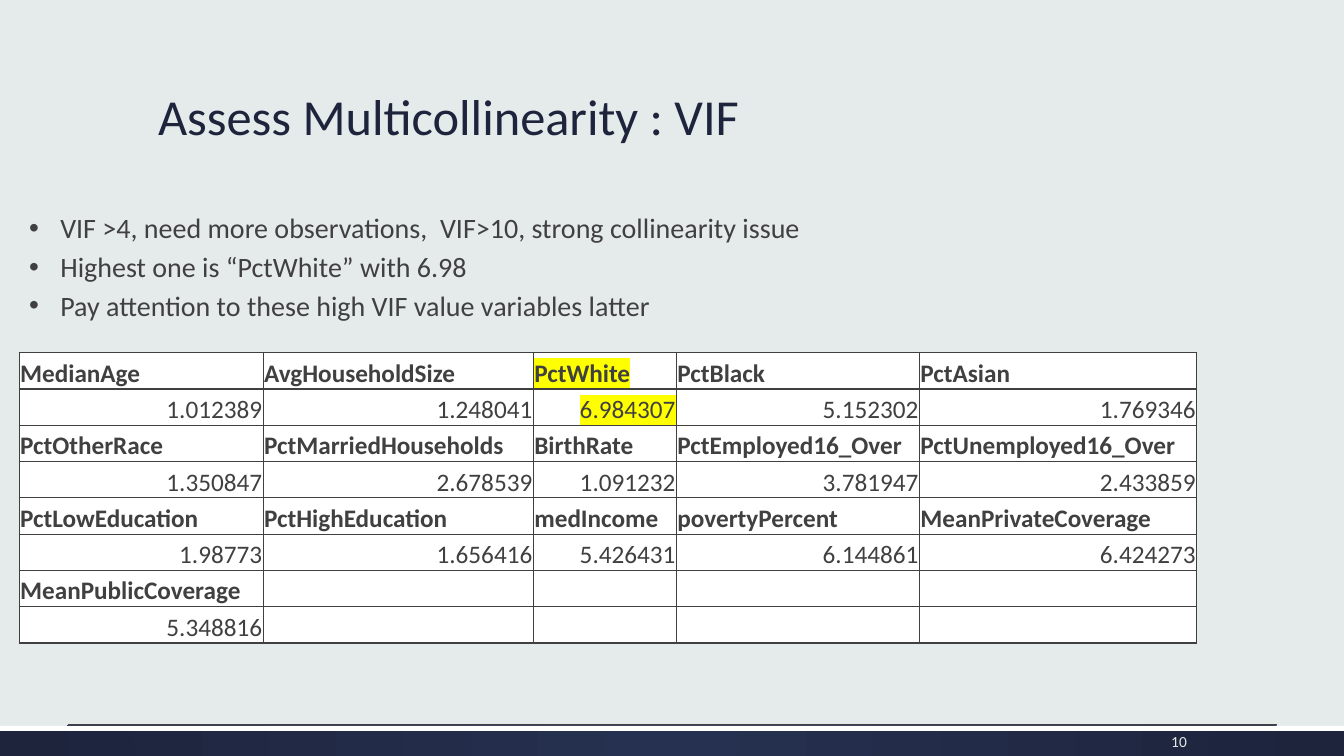
from dataclasses import dataclass

from lxml.etree import SubElement
from pptx import Presentation
from pptx.dml.color import RGBColor
from pptx.enum.shapes import MSO_CONNECTOR, MSO_SHAPE
from pptx.enum.text import MSO_ANCHOR, PP_ALIGN
from pptx.oxml import parse_xml
from pptx.oxml.ns import nsdecls, qn
from pptx.util import Inches, Pt

FONT = "Calibri"
BACKGROUND = "E5EAEA"
BODY = "404040"
NAVY = "1D243C"
NAVY_LIGHT = "263050"
WHITE = "FFFFFF"
YELLOW = "FFFF00"
PAGE_NUMBER = "E5E8E8"


@dataclass(frozen=True)
class Box:
    left: float
    top: float
    width: float
    height: float

    def lengths(self) -> list:
        return [Inches(n) for n in (self.left, self.top, self.width, self.height)]


@dataclass(frozen=True)
class Factor:
    variable: str
    vif: str
    marked: bool = False


FACTORS = [
    Factor("MedianAge", "1.012389"),
    Factor("AvgHouseholdSize", "1.248041"),
    Factor("PctWhite", "6.984307", marked=True),
    Factor("PctBlack", "5.152302"),
    Factor("PctAsian", "1.769346"),
    Factor("PctOtherRace", "1.350847"),
    Factor("PctMarriedHouseholds", "2.678539"),
    Factor("BirthRate", "1.091232"),
    Factor("PctEmployed16_Over", "3.781947"),
    Factor("PctUnemployed16_Over", "2.433859"),
    Factor("PctLowEducation", "1.98773"),
    Factor("PctHighEducation", "1.656416"),
    Factor("medIncome", "5.426431"),
    Factor("povertyPercent", "6.144861"),
    Factor("MeanPrivateCoverage", "6.424273"),
    Factor("MeanPublicCoverage", "5.348816"),
]
COLUMN_WIDTHS = [2.42, 2.68, 1.42, 2.41, 2.75]
ROW_HEIGHT = 0.36
FINDINGS = [
    "VIF >4, need more observations,  VIF>10, strong collinearity issue",
    "Highest one is “PctWhite” with 6.98",
    "Pay attention to these high VIF value variables latter",
]


def rgb(value: str) -> RGBColor:
    return RGBColor.from_string(value)


def write(paragraph, text: str, *, size: float, color: str = BODY, bold: bool = False,
          align=PP_ALIGN.LEFT, highlight: str = "", line_spacing: float = 1.0,
          space_after: float = 0, bullet: str = "", indent: float = 0) -> None:
    paragraph.alignment = align
    paragraph.line_spacing = line_spacing
    paragraph.space_after = Pt(space_after)
    if bullet:
        properties = paragraph._p.get_or_add_pPr()
        properties.set("marL", str(Inches(indent)))
        properties.set("indent", str(-Inches(indent)))
        SubElement(properties, qn("a:buFont"), typeface="Arial")
        SubElement(properties, qn("a:buChar"), char=bullet)
    run = paragraph.add_run()
    run.text = text
    run.font.size = Pt(size)
    run.font.bold = bold
    run.font.color.rgb = rgb(color)
    run.font.name = FONT
    if highlight:
        run._r.rPr.find(qn("a:solidFill")).addnext(parse_xml(
            f'<a:highlight {nsdecls("a")}><a:srgbClr val="{highlight}"/></a:highlight>'))


def add_frame(slide, box: Box, anchor):
    frame = slide.shapes.add_textbox(*box.lengths()).text_frame
    frame.word_wrap = True
    frame.vertical_anchor = anchor
    return frame


def add_band(slide, box: Box):
    band = slide.shapes.add_shape(MSO_SHAPE.RECTANGLE, *box.lengths())
    band.shadow.inherit = False
    band.line.fill.background()
    return band


def add_footer(slide) -> None:
    bar = add_band(slide, Box(0, 7.2, 13.33, 0.3))
    bar.fill.gradient()
    for stop, color in zip(bar.fill.gradient_stops, (NAVY_LIGHT, NAVY)):
        stop.color.rgb = rgb(color)
    gradient = bar._element.spPr.find(qn("a:gradFill"))
    gradient.replace(gradient.find(qn("a:lin")), parse_xml(
        f'<a:path {nsdecls("a")} path="circle">'
        '<a:fillToRect l="50000" t="50000" r="50000" b="50000"/></a:path>'))

    stripe = add_band(slide, Box(0, 7.2, 13.33, 0.05))
    stripe.fill.solid()
    stripe.fill.fore_color.rgb = rgb(WHITE)

    rule = slide.shapes.add_connector(
        MSO_CONNECTOR.STRAIGHT, Inches(0.67), Inches(7.19), Inches(12.67), Inches(7.19))
    rule.line.color.rgb = rgb(BODY)
    rule.line.width = Pt(0.75)
    SubElement(rule._element.spPr, qn("a:effectLst"))


def style_cell(cell) -> None:
    cell.fill.solid()
    cell.fill.fore_color.rgb = rgb(WHITE)
    cell.vertical_anchor = MSO_ANCHOR.BOTTOM
    cell.margin_left = cell.margin_right = cell.margin_top = Inches(0.01)
    cell.margin_bottom = 0
    for position, side in enumerate(("lnL", "lnR", "lnT", "lnB")):
        cell._tc.tcPr.insert(position, parse_xml(
            f'<a:{side} {nsdecls("a")} w="{Pt(1)}"><a:solidFill>'
            f'<a:srgbClr val="{BODY}"/></a:solidFill></a:{side}>'))


def add_vif_table(slide) -> None:
    columns = len(COLUMN_WIDTHS)
    rows = 2 * -(-len(FACTORS) // columns)
    box = Box(0.19, 3.5, sum(COLUMN_WIDTHS), rows * ROW_HEIGHT)
    table = slide.shapes.add_table(rows, columns, *box.lengths()).table
    table.first_row = table.horz_banding = False
    for column, width in zip(table.columns, COLUMN_WIDTHS):
        column.width = Inches(width)
    for row in table.rows:
        row.height = Inches(ROW_HEIGHT)
    for cell in table.iter_cells():
        style_cell(cell)
    for index, factor in enumerate(FACTORS):
        band, column = divmod(index, columns)
        highlight = YELLOW if factor.marked else ""
        write(table.cell(2 * band, column).text_frame.paragraphs[0], factor.variable,
              size=18, bold=True, highlight=highlight)
        write(table.cell(2 * band + 1, column).text_frame.paragraphs[0], factor.vif,
              size=18, align=PP_ALIGN.RIGHT, highlight=highlight)


def add_findings(slide) -> None:
    frame = add_frame(slide, Box(0.19, 2.02, 12.46, 1.96), MSO_ANCHOR.TOP)
    for index, finding in enumerate(FINDINGS):
        paragraph = frame.add_paragraph() if index else frame.paragraphs[0]
        write(paragraph, finding, size=20, line_spacing=1.07, space_after=2,
              bullet="•", indent=0.31)


def main() -> None:
    deck = Presentation()
    deck.slide_width, deck.slide_height = Inches(13.33), Inches(7.5)
    slide = deck.slides.add_slide(deck.slide_layouts[6])
    slide.background.fill.solid()
    slide.background.fill.fore_color.rgb = rgb(BACKGROUND)

    add_footer(slide)
    add_vif_table(slide)
    add_findings(slide)
    title = add_frame(slide, Box(1.47, 0.51, 10.4, 1.35), MSO_ANCHOR.MIDDLE)
    write(title.paragraphs[0], "Assess Multicollinearity : VIF",
          size=36, color=NAVY, line_spacing=0.9)
    number = add_frame(slide, Box(11.17, 7.23, 0.7, 0.26), MSO_ANCHOR.MIDDLE)
    write(number.paragraphs[0], "10", size=11, color=PAGE_NUMBER, align=PP_ALIGN.RIGHT)

    deck.save("out.pptx")


if __name__ == "__main__":
    main()
